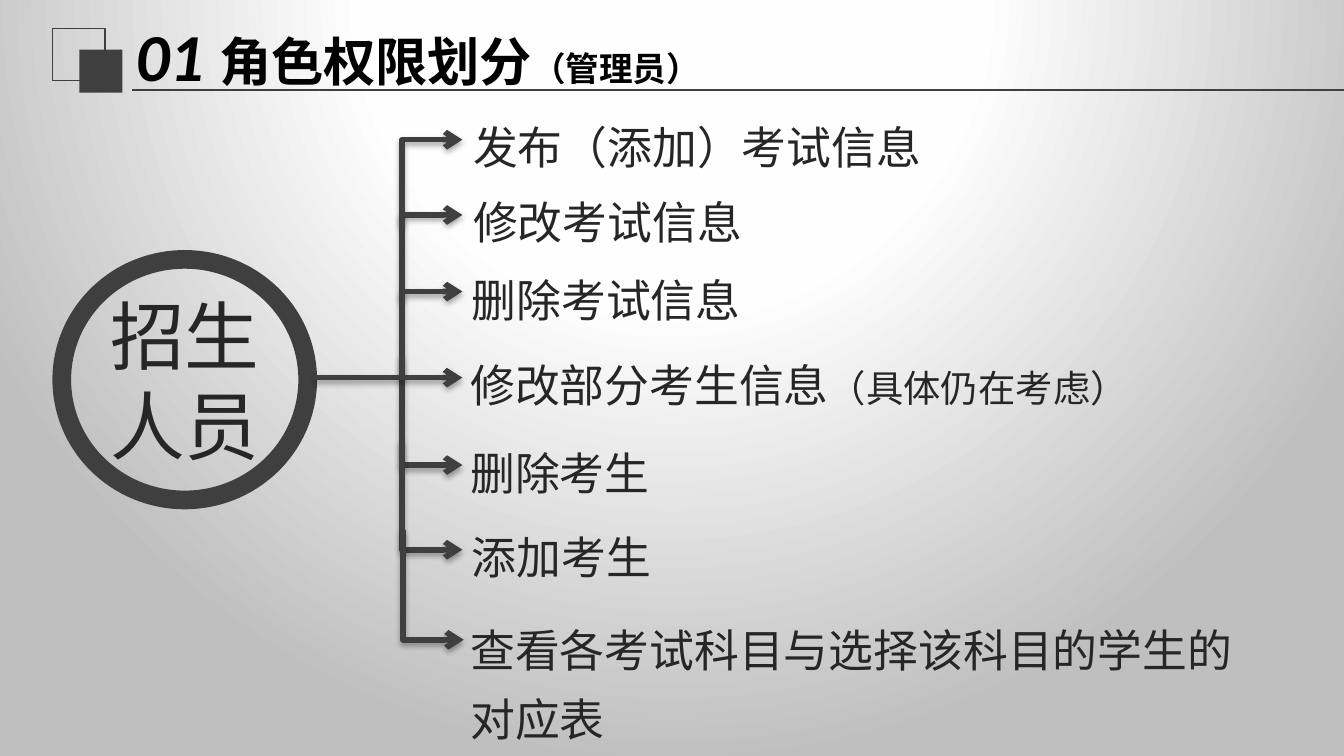
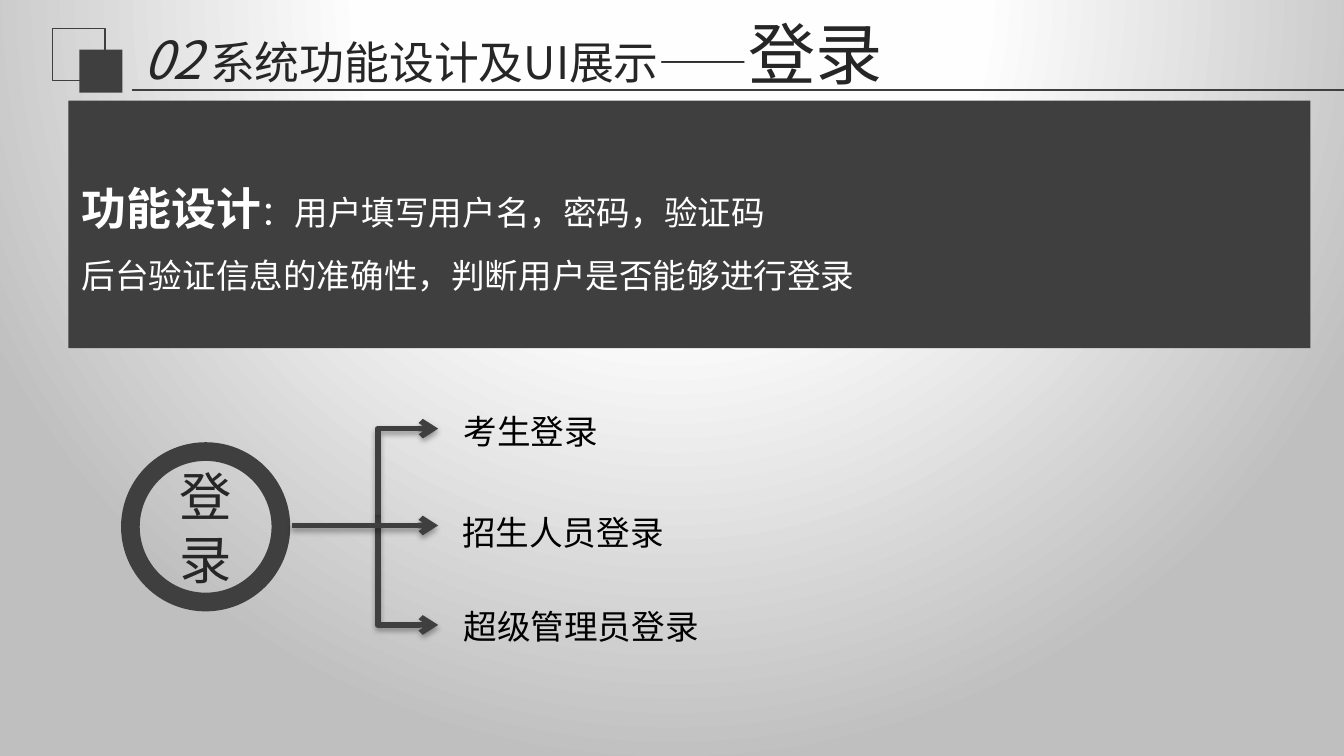
from dataclasses import dataclass

from lxml import etree
from pptx import Presentation
from pptx.dml import color
from pptx.enum import shapes, text
from pptx.oxml import ns, parse_xml
from pptx.util import Emu, Pt

PX = 9144  # 100 px to the inch
HAN = "Noto Sans CJK SC"
LATIN = "Calibri"
COLORS = {
    "dark": "3F3F3F", "ink": "262626", "black": "000000",
    "white": "FFFFFF", "near_white": "FEFEFE", "edge": "BFBFBF",
}
ARROW_GAP = 45        # trunk to arrow tip
RISE, DROP = 64, 82   # length of trunk above and below


@dataclass
class Run:
    text: str
    size: int | None = None
    bold: bool | None = None
    italic: bool | None = None


@dataclass
class Style:
    size: int | None = None
    font: str = HAN
    color: str = "ink"
    bold: bool | None = None
    spacing: float | None = None
    align: text.PP_ALIGN = text.PP_ALIGN.LEFT


@dataclass
class Box:
    left: int
    top: int
    width: int
    height: int

    def emu(self) -> list[Emu]:
        return [px(n) for n in (self.left, self.top, self.width, self.height)]


@dataclass
class Label:
    box: Box
    runs: list[Run]


@dataclass
class Tree:
    trunk: int
    stem_from: int
    stem_y: int
    tips: list[tuple[int, int]]  # (trunk x, arrow y)


def px(n: float) -> Emu:
    return Emu(int(n * PX))


def rgb(name: str) -> color.RGBColor:
    return color.RGBColor.from_string(COLORS[name])


# Text
def write(tf, paragraphs: list[list[Run]], style: Style) -> None:
    for i, runs in enumerate(paragraphs):
        p = tf.add_paragraph() if i else tf.paragraphs[0]
        p.alignment = style.align
        if style.spacing:
            p.line_spacing = style.spacing
        p.font.name = style.font
        p.font.color.rgb = rgb(style.color)
        p.font.bold = style.bold
        if style.size:
            p.font.size = Pt(style.size)
        etree.SubElement(p.font._element, ns.qn("a:ea"), typeface=HAN)
        for run in runs:
            r = p.add_run()
            r.text = run.text
            if run.size:
                r.font.size = Pt(run.size)
            if run.bold is not None:
                r.font.bold = run.bold
            if run.italic is not None:
                r.font.italic = run.italic


def set_insets(tf, x: int, y: int) -> None:
    tf.margin_left = tf.margin_right = px(x)
    tf.margin_top = tf.margin_bottom = px(y)


def add_title(slide, box: Box, runs: list[Run], style: Style) -> None:
    sp = slide.shapes.title
    sp.left, sp.top, sp.width, sp.height = box.emu()
    tf = sp.text_frame
    tf.word_wrap = True
    tf.auto_size = text.MSO_AUTO_SIZE.NONE
    tf.vertical_anchor = text.MSO_ANCHOR.MIDDLE
    tf.margin_right = 0
    write(tf, [runs], style)


def add_label(slide, label: Label, style: Style, insets: tuple[int, int]) -> None:
    tf = slide.shapes.add_textbox(*label.box.emu()).text_frame
    tf.word_wrap = True
    tf.auto_size = text.MSO_AUTO_SIZE.SHAPE_TO_FIT_TEXT
    set_insets(tf, *insets)
    write(tf, [label.runs], style)


# Shapes
def add_shape(slide, kind, box: Box, fill: str | None = None, line: float = 0):
    sp = slide.shapes.add_shape(kind, *box.emu())
    sp.shadow.inherit = False
    if fill:
        sp.fill.solid()
        sp.fill.fore_color.rgb = rgb(fill)
    else:
        sp.fill.background()
    if line:
        sp.line.color.rgb = rgb("dark")
        sp.line.width = Pt(line)
    else:
        sp.line.fill.background()
    return sp


def add_ring(slide, box: Box, words: str, size: int) -> None:
    tf = add_shape(slide, shapes.MSO_SHAPE.OVAL, box, line=10).text_frame
    tf.word_wrap = True
    set_insets(tf, 3, 4)
    write(tf, [[Run(words)]], Style(size, align=text.PP_ALIGN.CENTER))


# Connectors
def add_line(slide, kind, ends: tuple[float, ...], width: float):
    line = slide.shapes.add_connector(kind, *map(px, ends))
    line.line.color.rgb = rgb("dark")
    line.line.width = Pt(width)
    effects = etree.SubElement(line._element.spPr, ns.qn("a:effectLst"))
    return line, effects


def add_arrow(slide, kind, ends: tuple[float, ...]):
    line, effects = add_line(slide, kind, ends, 3)
    etree.SubElement(line.line._get_or_add_ln(), ns.qn("a:tailEnd"), type="arrow")
    shadow = etree.SubElement(effects, ns.qn("a:outerShdw"), blurRad="40000",
                              dist="23000", dir="5400000", rotWithShape="0")
    black = etree.SubElement(shadow, ns.qn("a:srgbClr"), val=COLORS["black"])
    etree.SubElement(black, ns.qn("a:alpha"), val="35000")
    return line


def add_branch(slide, x: int, y: int, down: bool) -> None:
    """Leave the trunk vertically, turn once, and point right at height y."""
    length = DROP if down else RISE
    mid_x = x + ARROW_GAP / 2
    mid_y = y - length / 2 if down else y + length / 2
    ends = (mid_x - length / 2, mid_y - ARROW_GAP / 2,
            mid_x + length / 2, mid_y + ARROW_GAP / 2)
    spPr = add_arrow(slide, shapes.MSO_CONNECTOR.ELBOW, ends)._element.spPr
    spPr.find(ns.qn("a:prstGeom")).set("prst", "bentConnector2")
    xfrm = spPr.find(ns.qn("a:xfrm"))
    xfrm.set("rot", "16200000" if down else "5400000")
    xfrm.set("flipH", "1")
    if not down:
        xfrm.set("flipV", "1")


def add_tree(slide, tree: Tree) -> None:
    for x, y in tree.tips:
        add_branch(slide, x, y, y > tree.stem_y)
    add_arrow(slide, shapes.MSO_CONNECTOR.STRAIGHT,
              (tree.stem_from, tree.stem_y, tree.trunk + ARROW_GAP, tree.stem_y))


# Shared look
def set_background(master) -> None:
    master.background.fill.solid()
    bg = master.element.find(".//" + ns.qn("p:bgPr"))
    stops = "".join(
        f'<a:gs pos="{pos}000"><a:srgbClr val="{COLORS[name]}"/></a:gs>'
        for pos, name in ((0, "white"), (40, "near_white"), (100, "edge")))
    bg.replace(bg[0], parse_xml(
        f'<a:gradFill {ns.nsdecls("a")} rotWithShape="1"><a:gsLst>{stops}</a:gsLst>'
        '<a:path path="circle"><a:fillToRect l="50000" t="-80000" r="50000" b="180000"/>'
        '</a:path></a:gradFill>'))


def new_slide(prs):
    slide = prs.slides.add_slide(prs.slide_layouts[5])
    square = shapes.MSO_SHAPE.RECTANGLE
    add_shape(slide, square, Box(39, 21, 39, 39), line=0.75)
    add_shape(slide, square, Box(59, 37, 32, 32), fill="dark")
    add_line(slide, shapes.MSO_CONNECTOR.STRAIGHT, (98, 67, 1012, 67), 1.25)
    return slide


# Slides
def roles_slide(prs) -> None:
    slide = new_slide(prs)
    add_title(slide, Box(91, 19, 480, 43),
              [Run("01 ", 36, italic=True), Run("角色权限划分", 28), Run("（管理员）", 18)],
              Style(font=LATIN, color="black", bold=True))
    add_ring(slide, Box(46, 193, 183, 179), "招生人员", 40)
    add_tree(slide, Tree(299, 234, 281, [
        (299, 104), (299, 160), (299, 217), (299, 346), (299, 409), (300, 476)]))
    permissions = [
        Label(Box(345, 73, 391, 60), [Run("发布（添加）考试信息")]),
        Label(Box(345, 129, 274, 55), [Run("修改考试信息")]),
        Label(Box(344, 187, 519, 55), [Run("删除考试信息")]),
        Label(Box(343, 250, 566, 55), [Run("修改部分考生信息"), Run("（具体仍在考虑）", 20)]),
        Label(Box(343, 316, 464, 55), [Run("删除考生")]),
        Label(Box(344, 378, 439, 55), [Run("添加考生")]),
        Label(Box(343, 447, 582, 113), [Run("查看各考试科目与选择该科目的学生的对应表")]),
    ]
    for label in permissions:
        add_label(slide, label, Style(24, spacing=1.3), (7, 4))


def login_slide(prs) -> None:
    slide = new_slide(prs)
    add_title(slide, Box(97, 21, 600, 24),
              [Run("02", 28, italic=True), Run(" ", 20),
               Run("系统功能设计及UI展示——", 24), Run("登录", 36)],
              Style(spacing=1.2))
    panel = add_shape(slide, shapes.MSO_SHAPE.RECTANGLE, Box(51, 75, 924, 184), fill="dark")
    panel.text_frame.word_wrap = True
    write(panel.text_frame,
          [[Run("功能设计", 24, bold=True), Run("：用户填写用户名，密码，验证码")],
           [Run("后台验证信息的准确性，判断用户是否能够进行登录")]],
          Style(18, color="white", spacing=1.5))
    add_ring(slide, Box(97, 336, 112, 112), "登录", 28)
    add_tree(slide, Tree(281, 217, 391, [(281, 465), (281, 319)]))
    logins = [
        Label(Box(335, 301, 315, 40), [Run("考生登录")]),
        Label(Box(334, 376, 331, 40), [Run("招生人员登录")]),
        Label(Box(335, 446, 315, 40), [Run("超级管理员登录")]),
    ]
    for label in logins:
        add_label(slide, label, Style(18, LATIN, "black"), (10, 5))


def main() -> None:
    prs = Presentation()
    prs.slide_width, prs.slide_height = px(1000), px(562.5)
    set_background(prs.slide_master)
    roles_slide(prs)
    login_slide(prs)
    prs.save("out.pptx")


if __name__ == "__main__":
    main()
